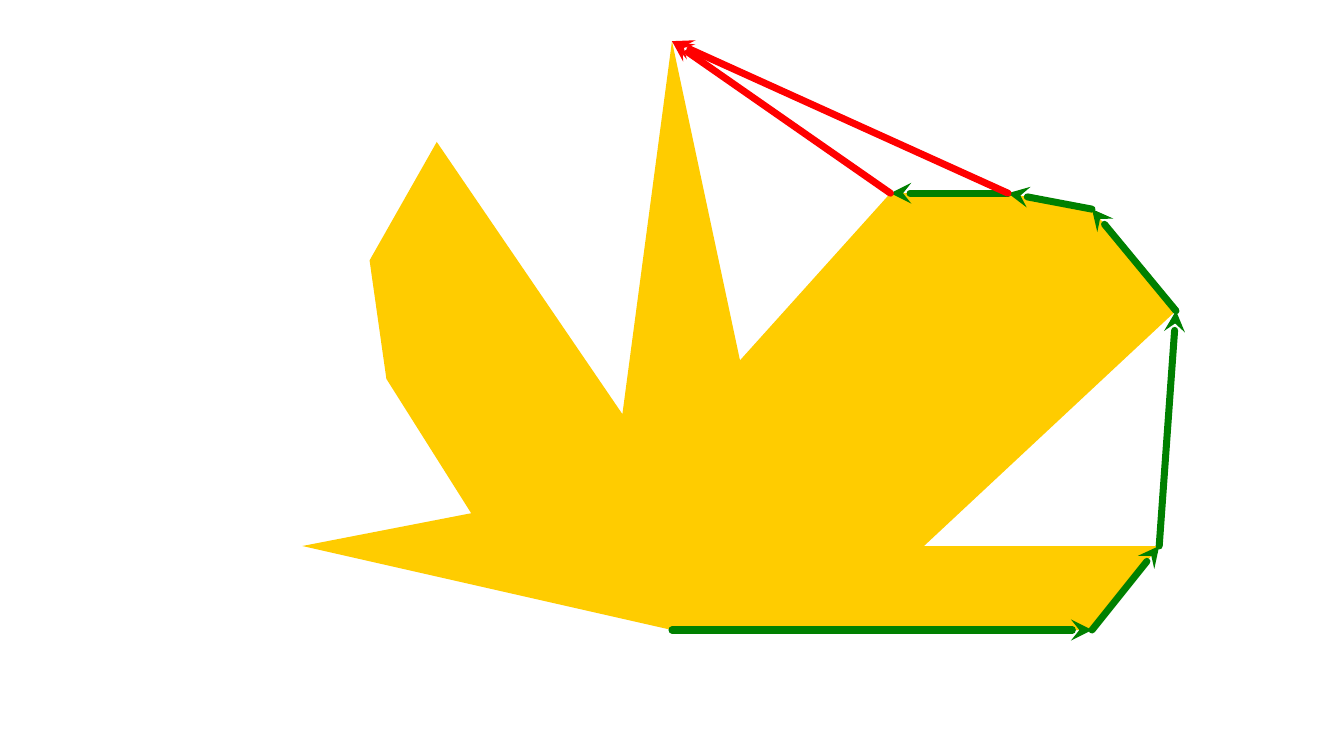
from itertools import pairwise

from lxml.etree import SubElement
from pptx import Presentation
from pptx.dml.color import RGBColor
from pptx.enum.shapes import MSO_CONNECTOR
from pptx.oxml.ns import qn
from pptx.util import Inches, Pt

COLORS = {"polygon": "FFCC00", "accepted": "008000", "rejected": "FF0000"}

# Vertices in inches; the hull scan starts at the bottom vertex
BOTTOM, TOP = (8, 7.5), (8, 0.49)
BEFORE_LAST, LAST = (12, 2.3), (10.6, 2.3)
HULL = [BOTTOM, (13, 7.5), (13.8, 6.5), (14, 3.7), (13, 2.49), BEFORE_LAST, LAST]
POLYGON = [
    *HULL[:3], (11, 6.5), *HULL[3:], (8.81, 4.29), TOP, (7.41, 4.93),
    (5.2, 1.69), (4.4, 3.1), (4.6, 4.51), (5.61, 6.11), (3.6, 6.5),
]
STEPS = [(start, end, "accepted") for start, end in pairwise(HULL)]
STEPS += [(start, TOP, "rejected") for start in (LAST, BEFORE_LAST)]


def to_lengths(point):
    return tuple(Inches(value) for value in point)


def add_polygon(slide, points, color):
    first, *rest = map(to_lengths, points)
    builder = slide.shapes.build_freeform(*first)
    builder.add_line_segments(rest, close=True)
    shape = builder.convert_to_shape()
    shape.shadow.inherit = False
    shape.fill.solid()
    shape.fill.fore_color.rgb = RGBColor.from_string(color)
    shape.line.fill.background()


def add_arrow(slide, start, end, color):
    arrow = slide.shapes.add_connector(
        MSO_CONNECTOR.STRAIGHT, *to_lengths(start), *to_lengths(end))
    arrow.line.width = Pt(6)
    arrow.line.color.rgb = RGBColor.from_string(color)
    # Round caps, stealth head, no shadow
    properties = arrow.line._get_or_add_ln()
    properties.set("cap", "rnd")
    SubElement(properties, qn("a:round"))
    SubElement(properties, qn("a:tailEnd"), type="stealth")
    SubElement(arrow._element.spPr, qn("a:effectLst"))


def main():
    presentation = Presentation()
    presentation.slide_width = Inches(16)
    presentation.slide_height = Inches(9)
    slide = presentation.slides.add_slide(presentation.slide_layouts[6])

    # Polygon, then the scan steps on top
    add_polygon(slide, POLYGON, COLORS["polygon"])
    for start, end, state in STEPS:
        add_arrow(slide, start, end, COLORS[state])

    presentation.save("out.pptx")


if __name__ == "__main__":
    main()
